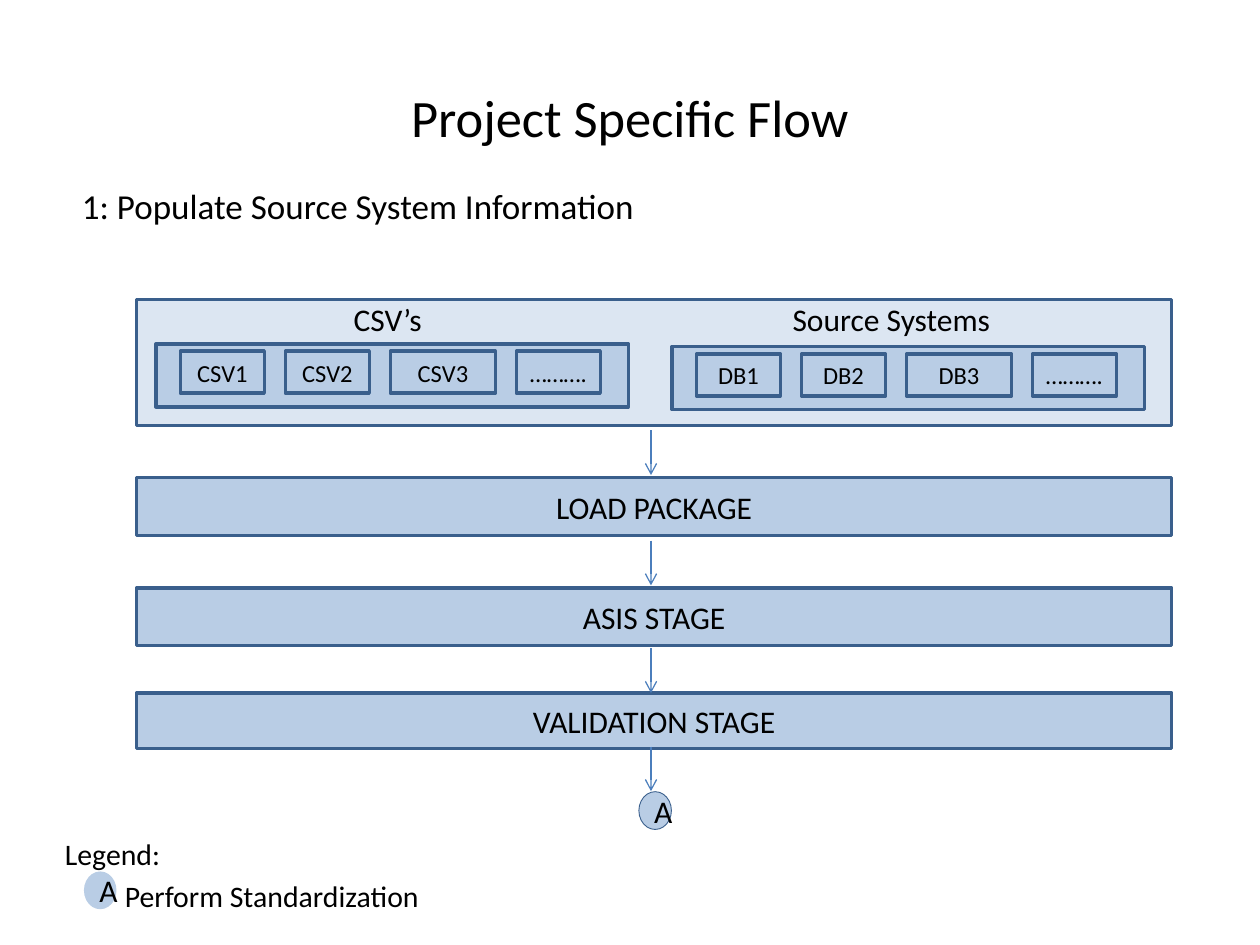
import lxml.etree
import pptx
import pptx.dml.color
import pptx.enum.shapes
import pptx.enum.text
import pptx.oxml.ns
import pptx.util

CELL = 1 / 12
PALE, BLUE, EDGE, ARROW, BLACK = "DCE6F2", "B9CDE5", "3A5F8C", "4B7EBC", "000000"
RECTANGLE = pptx.enum.shapes.MSO_SHAPE.RECTANGLE
CIRCLE = pptx.enum.shapes.MSO_SHAPE.FLOWCHART_CONNECTOR
ALIGN = pptx.enum.text.PP_ALIGN
ANCHOR = pptx.enum.text.MSO_ANCHOR


def color(value):
    """Turn a hex string into a colour."""
    return pptx.dml.color.RGBColor.from_string(value)


def grid(*cells):
    """Turn grid cells into lengths."""
    return [pptx.util.Inches(cell * CELL) for cell in cells]


def apply(target, values):
    """Set each attribute of the target from a dict."""
    for name, value in values.items():
        setattr(target, name, value)


def add_child(parent, tag, **attributes):
    """Append a drawing element with its attributes."""
    return lxml.etree.SubElement(parent, pptx.oxml.ns.qn(tag), attributes)


def write(frame, lines, size, align=ALIGN.LEFT, anchor=ANCHOR.TOP, wrap=True, indents=()):
    """Write lines of text, with optional indents in grid cells."""
    apply(frame, {"word_wrap": wrap, "vertical_anchor": anchor,
                  "auto_size": pptx.enum.text.MSO_AUTO_SIZE.NONE})
    for index, line in enumerate(lines):
        paragraph = frame.add_paragraph() if index else frame.paragraphs[0]
        space = pptx.util.Pt(size * 0.2 if index else 0)
        apply(paragraph, {"alignment": align, "space_before": space})
        if indents:
            properties = paragraph._p.get_or_add_pPr()
            properties.set("marL", str(grid(indents[index])[0]))
            properties.set("indent", "0")
            add_child(properties, "a:buNone")
        run = paragraph.add_run()
        run.text = line
        apply(run.font, {"name": "Calibri", "size": pptx.util.Pt(size)})
        run.font.color.rgb = color(BLACK)


def fill_placeholder(placeholder, cells, *text, **options):
    """Move a placeholder and write its text."""
    apply(placeholder, dict(zip(("left", "top", "width", "height"), grid(*cells))))
    write(placeholder.text_frame, *text, **options)


def add_text(shapes, cells, lines, size, **options):
    """Add a text box."""
    write(shapes.add_textbox(*grid(*cells)).text_frame, lines, size, **options)


def add_block(shapes, cells, text="", size=18, kind=RECTANGLE, fill=BLUE, line=2):
    """Add a flat shape with centred text."""
    shape = shapes.add_shape(kind, *grid(*cells))
    shape.shadow.inherit = False
    if fill:
        shape.fill.solid()
        shape.fill.fore_color.rgb = color(fill)
    else:
        shape.fill.background()
    if line:
        shape.line.color.rgb = color(EDGE)
        shape.line.width = pptx.util.Pt(line)
    else:
        shape.line.fill.background()
    if text:
        write(shape.text_frame, [text], size, ALIGN.CENTER, ANCHOR.MIDDLE)


def add_sources(slide, left, top, names):
    """Add a grouped panel with a row of named sources."""
    shapes = slide.shapes.add_group_shape().shapes
    add_block(shapes, (left, top, 45, 6))
    column = left + 2.33
    for name, width in zip(names, (8, 8, 10, 8)):
        add_block(shapes, (column, top + 0.7, width, 4), name, 14, fill=None)
        column += width + 2


def add_arrow(slide, column, top, height=4.25):
    """Add a downward arrow."""
    connector = slide.shapes.add_connector(
        pptx.enum.shapes.MSO_CONNECTOR.STRAIGHT, *grid(column, top, column, top + height))
    connector.line.color.rgb = color(ARROW)
    connector.line.width = pptx.util.Pt(0.75)
    add_child(connector.line._get_or_add_ln(), "a:tailEnd", type="arrow")
    add_child(connector._element.spPr, "a:effectLst")


def add_legend(slide):
    """Add the grouped legend."""
    shapes = slide.shapes.add_group_shape().shapes
    add_text(shapes, (5, 79, 38, 9), ["Legend:", "Perform Standardization"], 17, indents=(0, 5.7))
    add_block(shapes, (8, 83, 3.1, 3.6), "A", kind=CIRCLE, line=None)


def main():
    """Build and save the slide."""
    presentation = pptx.Presentation()
    apply(presentation, {"slide_width": pptx.util.Inches(10), "slide_height": pptx.util.Inches(7.5)})
    slide = presentation.slides.add_slide(presentation.slide_layouts[1])
    title, body = slide.placeholders
    fill_placeholder(title, (6, 3.6, 108, 15), ["Project Specific Flow"], 30,
                     align=ALIGN.CENTER, anchor=ANCHOR.MIDDLE)
    fill_placeholder(body, (5.9, 17, 108, 6), ["1: Populate Source System Information"], 20,
                     indents=(0.7,))

    add_block(slide.shapes, (13, 28.55, 98.6, 12), fill=PALE)
    add_sources(slide, 14.85, 32.75, ("CSV1", "CSV2", "CSV3", "………."))
    add_sources(slide, 64, 33, ("DB1", "DB2", "DB3", "………."))
    add_text(slide.shapes, (32.5, 28, 9, 4.8), ["CSV’s"], 18, wrap=False)
    add_text(slide.shapes, (74.3, 28, 21.5, 4.8), ["Source Systems"], 18, wrap=False)

    stages = (("LOAD PACKAGE", 45.5, 5.5), ("ASIS STAGE", 56, 5.5), ("VALIDATION STAGE", 66, 5.3))
    for name, top, height in stages:
        add_block(slide.shapes, (13, top, 98.6, height), name)
    for top in (41, 51.5, 61.75, 71.1):
        add_arrow(slide, 62, top)
    add_block(slide.shapes, (60.85, 75.4, 3.1, 3.6), "A", kind=CIRCLE, line=0.5)
    add_legend(slide)
    presentation.save("out.pptx")


if __name__ == "__main__":
    main()
